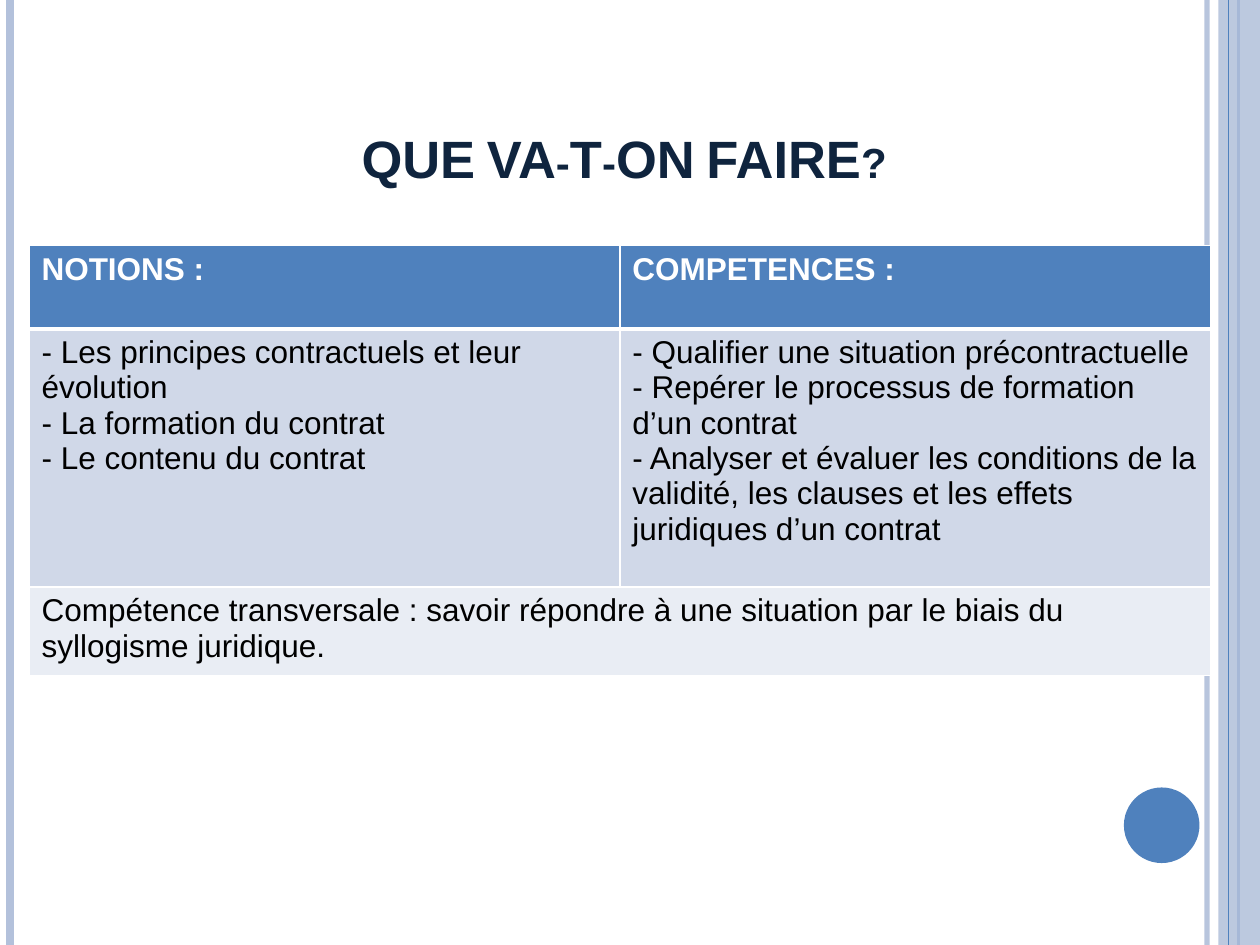
from lxml import etree
from pptx import Presentation
from pptx.dml.color import RGBColor
from pptx.enum.shapes import MSO_CONNECTOR, MSO_SHAPE
from pptx.enum.text import MSO_ANCHOR, PP_ALIGN
from pptx.oxml.ns import qn
from pptx.util import Inches, Pt

WHITE = RGBColor(0xFF, 0xFF, 0xFF)
BLACK = RGBColor(0, 0, 0)
BLUE = RGBColor(0x4F, 0x81, 0xBD)
PALE_BLUE = RGBColor(0xB3, 0xC1, 0xDB)
NAVY = RGBColor(0x0F, 0x24, 0x3E)
BAND_DARK = RGBColor(0xD0, 0xD8, 0xE8)
BAND_LIGHT = RGBColor(0xE9, 0xED, 0xF4)

HEADERS = ["NOTIONS\u00a0: ", "COMPETENCES\u00a0: "]
CONTENT = [
    ["- Les principes contractuels et leur évolution",
     "- La formation du contrat",
     "- Le contenu du contrat"],
    ["- Qualifier une situation précontractuelle",
     "- Repérer le processus de formation d’un contrat",
     "- Analyser et évaluer les conditions de la validité, les clauses "
     "et les effets juridiques d’un contrat"],
]
TRANSVERSAL = ("Compétence transversale\u00a0: savoir répondre à une situation "
               "par le biais du syllogisme juridique.")


def set_alpha(fill_parent, percent):
    color = fill_parent.find(qn("a:solidFill"))[0]
    etree.SubElement(color, qn("a:alpha"), val=str(percent * 1000))


def add_rule(slide, x, height, color, width, alpha=None):
    line = slide.shapes.add_connector(
        MSO_CONNECTOR.STRAIGHT, Inches(x), 0, Inches(x), height)
    line.line.color.rgb = color
    line.line.width = Pt(width)
    properties = line._element.spPr
    if alpha:
        set_alpha(properties.find(qn("a:ln")), alpha)
    etree.SubElement(properties, qn("a:effectLst"))


def add_filled_shape(slide, kind, box, color, alpha=None):
    shape = slide.shapes.add_shape(kind, *map(Inches, box))
    shape.shadow.inherit = False
    shape.fill.solid()
    shape.fill.fore_color.rgb = color
    shape.line.fill.background()
    if alpha:
        set_alpha(shape._element.spPr, alpha)


def add_decoration(slide, height):
    add_rule(slide, 9.58, height, PALE_BLUE, 3, alpha=93)
    add_rule(slide, 0.08, height, PALE_BLUE, 4.5)
    add_rule(slide, 9.83, height, BLUE, 1.5)
    add_filled_shape(slide, MSO_SHAPE.RECTANGLE, (9.67, 0, 0.33, 7.5), PALE_BLUE, alpha=87)
    add_rule(slide, 9.75, height, BLUE, 0.75)
    add_filled_shape(slide, MSO_SHAPE.OVAL, (8.92, 6.25, 0.6, 0.6), BLUE)


def write_paragraph(paragraph, text, size, color, bold, alignment):
    paragraph.alignment = alignment
    run = paragraph.add_run()
    run.text = text
    run.font.color.rgb = color
    for name, value in {"name": "Arial", "size": Pt(size), "bold": bold}.items():
        setattr(run.font, name, value)
    return run


def add_title(slide, box):
    frame = slide.shapes.add_textbox(*map(Inches, box)).text_frame
    frame.word_wrap = True
    frame.vertical_anchor = MSO_ANCHOR.BOTTOM
    run = write_paragraph(frame.paragraphs[0], "QUE VA-T-ON FAIRE? ",
                          30, NAVY, True, PP_ALIGN.CENTER)
    run.font._element.set("cap", "small")


def set_borders(cell, bottom_width):
    properties = cell._tc.get_or_add_tcPr()
    widths = {"a:lnL": 1, "a:lnR": 1, "a:lnT": 1, "a:lnB": bottom_width}
    # Borders must come before the cell fill
    for index, (tag, width) in enumerate(widths.items()):
        border = etree.Element(qn(tag), w=str(Pt(width)))
        fill = etree.SubElement(border, qn("a:solidFill"))
        etree.SubElement(fill, qn("a:srgbClr"), val=str(WHITE))
        properties.insert(index, border)


def fill_cell(cell, lines, fill, header=False):
    cell.fill.solid()
    cell.fill.fore_color.rgb = fill
    set_borders(cell, 3 if header else 1)
    frame = cell.text_frame
    color = WHITE if header else BLACK
    alignment = PP_ALIGN.JUSTIFY if header else PP_ALIGN.LEFT
    for index, text in enumerate(lines):
        paragraph = frame.add_paragraph() if index else frame.paragraphs[0]
        write_paragraph(paragraph, text, 18, color, header, alignment)


def add_skills_table(slide, box, row_heights):
    table = slide.shapes.add_table(3, 2, *map(Inches, box)).table
    for row, height in zip(table.rows, row_heights):
        row.height = Inches(height)
    for column, (header, lines) in enumerate(zip(HEADERS, CONTENT)):
        fill_cell(table.cell(0, column), [header], BLUE, header=True)
        fill_cell(table.cell(1, column), lines, BAND_DARK)
        fill_cell(table.cell(2, column), [TRANSVERSAL] if column == 0 else [], BAND_LIGHT)
    table.cell(2, 0).merge(table.cell(2, 1))


def main():
    presentation = Presentation()
    presentation.slide_width = Inches(10)
    presentation.slide_height = Inches(7.5)
    slide = presentation.slides.add_slide(presentation.slide_layouts[6])
    slide.background.fill.solid()
    slide.background.fill.fore_color.rgb = WHITE
    add_decoration(slide, presentation.slide_height)
    add_title(slide, (0, 0.3, 10, 1.25))
    add_skills_table(slide, (0.23, 1.95, 9.38, 3.37), (0.66, 2.05, 0.66))
    presentation.save("out.pptx")


if __name__ == "__main__":
    main()
